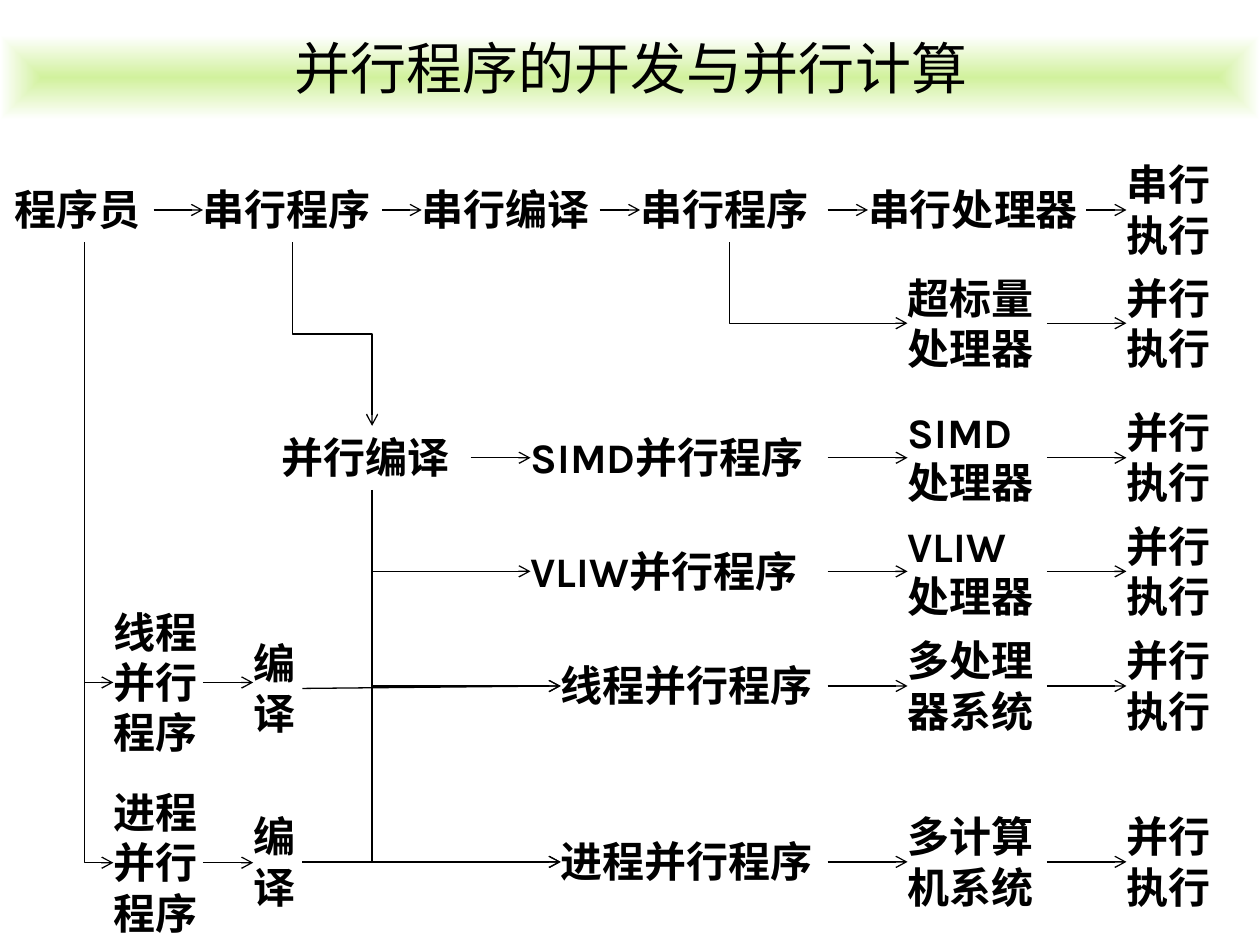
import pptx
import pptx.dml.color
import pptx.enum.shapes
import pptx.enum.text
import pptx.oxml.ns
import pptx.util
from lxml import etree

Pt = pptx.util.Pt
qn = pptx.oxml.ns.qn
CONNECTOR = pptx.enum.shapes.MSO_CONNECTOR
BLACK = "000000"
RIGHT_ROWS = [
    (184.7, None, None, "超标量处理器"),
    (261.6, 303.2, "SIMD并行程序", "SIMD处理器"),
    (326.5, 303.2, "VLIW并行程序", "VLIW处理器"),
    (392, 320.4, "线程并行程序", "多处理器系统"),
    (492.5, 320.4, "进程并行程序", "多计算机系统"),
]
SERIAL_Y = 120
COMPILER_X, COMPILER_Y = 212.6, RIGHT_ROWS[1][0]
PROCESSOR_X, EXECUTION_X = 518.6, 643.7


def color(hex_value):
    """Return the colour for a hex string."""
    return pptx.dml.color.RGBColor.from_string(hex_value)


def add_band(slide):
    """Add the green band that fades to white towards its edges."""
    rectangle = pptx.enum.shapes.MSO_SHAPE.RECTANGLE
    band = slide.shapes.add_shape(rectangle, 0, Pt(20.2), Pt(720), Pt(48.2))
    band.shadow.inherit = False
    band.line.fill.background()
    band.fill.gradient()
    for stop, hex_value in zip(band.fill.gradient_stops, ("D1F19D", "FFFFFF")):
        stop.color.rgb = color(hex_value)
    gradient = band._element.spPr.find(qn("a:gradFill"))
    gradient.remove(gradient.find(qn("a:lin")))
    shade = etree.SubElement(gradient, qn("a:path"), {"path": "rect"})
    sides = {side: "50000" for side in "ltrb"}
    etree.SubElement(shade, qn("a:fillToRect"), sides)


def add_text(slide, text, left, top, width, height, size, font):
    """Add a wrapping text box with one run and return it."""
    shape = slide.shapes.add_textbox(Pt(left), Pt(top), Pt(width), Pt(height))
    shape.text_frame.word_wrap = True
    run = shape.text_frame.paragraphs[0].add_run()
    run.text = text
    run.font.size = Pt(size)
    run.font.name = font
    run.font.color.rgb = color(BLACK)
    return shape


def add_title(slide, text):
    """Add the centred slide title."""
    frame = add_text(slide, text, 54, 20.2, 613.4, 41, 32, "DejaVu Sans").text_frame
    frame.vertical_anchor = pptx.enum.text.MSO_ANCHOR.BOTTOM
    frame.paragraphs[0].alignment = pptx.enum.text.PP_ALIGN.CENTER


def add_label(slide, text, left, middle, width, lines=1):
    """Add a bold label of the given line count, centred on a height."""
    height = 7.2 + 28.8 * lines
    top = middle - height / 2 - 0.4
    frame = add_text(slide, text, left, top, width, height, 24, "Karla").text_frame
    frame.margin_left = frame.margin_right = 0
    frame.auto_size = pptx.enum.text.MSO_AUTO_SIZE.SHAPE_TO_FIT_TEXT
    frame.paragraphs[0].runs[0].font.bold = True


def add_arrow(slide, x1, y1, x2, y2, kind=CONNECTOR.STRAIGHT):
    """Add a thin arrow between two points and return it."""
    arrow = slide.shapes.add_connector(kind, Pt(x1), Pt(y1), Pt(x2), Pt(y2))
    arrow.line.color.rgb = color(BLACK)
    arrow.line.width = Pt(0.75)
    properties = arrow._element.spPr
    etree.SubElement(properties.find(qn("a:ln")), qn("a:tailEnd"), {"type": "arrow"})
    etree.SubElement(properties, qn("a:effectLst"))
    return arrow


def add_elbow(slide, x1, y1, x2, y2, preset="bentConnector2"):
    """Add a bent arrow that leaves its start point downwards."""
    center_x, center_y = (x1 + x2) / 2, (y1 + y2) / 2
    half_width, half_height = (y2 - y1) / 2, (x2 - x1) / 2
    arrow = add_arrow(slide, center_x - half_width, center_y - half_height,
                      center_x + half_width, center_y + half_height, CONNECTOR.ELBOW)
    properties = arrow._element.spPr
    properties.find(qn("a:prstGeom")).set("prst", preset)
    frame = properties.find(qn("a:xfrm"))
    frame.set("rot", "16200000")
    frame.set("flipH", "1")


def add_serial_row(slide):
    """Add the serial chain along the top."""
    steps = [("程序员", 8.6, 79.2), ("串行程序", 116, 102.2), ("串行编译", 241, 102.2),
             ("串行程序", 365.8, 102.2), ("串行处理器", 496, 130.3)]
    for text, left, width in steps:
        add_label(slide, text, left, SERIAL_Y, width)
    add_label(slide, "串行执行", EXECUTION_X, SERIAL_Y, 54, 2)
    for start, end in [(87.8, 116), (218.2, 241), (342.7, 365.8),
                       (473, 496), (620.6, EXECUTION_X)]:
        add_arrow(slide, start, SERIAL_Y, end, SERIAL_Y)


def add_right_rows(slide):
    """Add the parallel programs, their processors and the executions."""
    for middle, left, program, processor in RIGHT_ROWS:
        add_label(slide, processor, PROCESSOR_X, middle, 79.2, 2)
        add_label(slide, "并行执行", EXECUTION_X, middle, 54, 2)
        add_arrow(slide, 598.3, middle, EXECUTION_X, middle)
        if program:
            add_label(slide, program, left, middle, 473.4 - left, 1)
            add_arrow(slide, 473, middle, PROCESSOR_X, middle)


def add_compiler(slide):
    """Add the parallel compiler with its incoming and outgoing arrows."""
    add_label(slide, " 并行编译", 155.5, COMPILER_Y, 113)
    add_elbow(slide, 167, 138.4, COMPILER_X, 243.4, "bentConnector3")
    add_elbow(slide, 417, 138.4, PROCESSOR_X, RIGHT_ROWS[0][0])
    add_arrow(slide, 269, COMPILER_Y, 303.2, COMPILER_Y)
    for middle, left, _, _ in RIGHT_ROWS[2:]:
        add_elbow(slide, COMPILER_X, 280, left, middle)


def add_explicit_branch(slide, text, program_y, compile_y, target_y):
    """Add a program written as parallel and its compile step."""
    add_label(slide, text, 64.8, program_y, 51.1, 3)
    add_label(slide, "编译", 144.7, compile_y, 28.1, 2)
    add_elbow(slide, 48.2, 138.4, 64.8, program_y)
    add_arrow(slide, 116, program_y, 144.7, program_y)
    add_arrow(slide, 172.8, compile_y, 320.4, target_y)


def main():
    """Build the slide and save it."""
    presentation = pptx.Presentation()
    presentation.slide_width, presentation.slide_height = Pt(720), Pt(540)
    slide = presentation.slides.add_slide(presentation.slide_layouts[6])
    add_band(slide)
    add_title(slide, "并行程序的开发与并行计算")
    add_serial_row(slide)
    add_right_rows(slide)
    add_compiler(slide)
    add_explicit_branch(slide, "线程并行程序", 390, 393.4, RIGHT_ROWS[3][0])
    add_explicit_branch(slide, "进程并行程序", 493, 492.5, RIGHT_ROWS[4][0])
    presentation.save("out.pptx")


if __name__ == "__main__":
    main()
